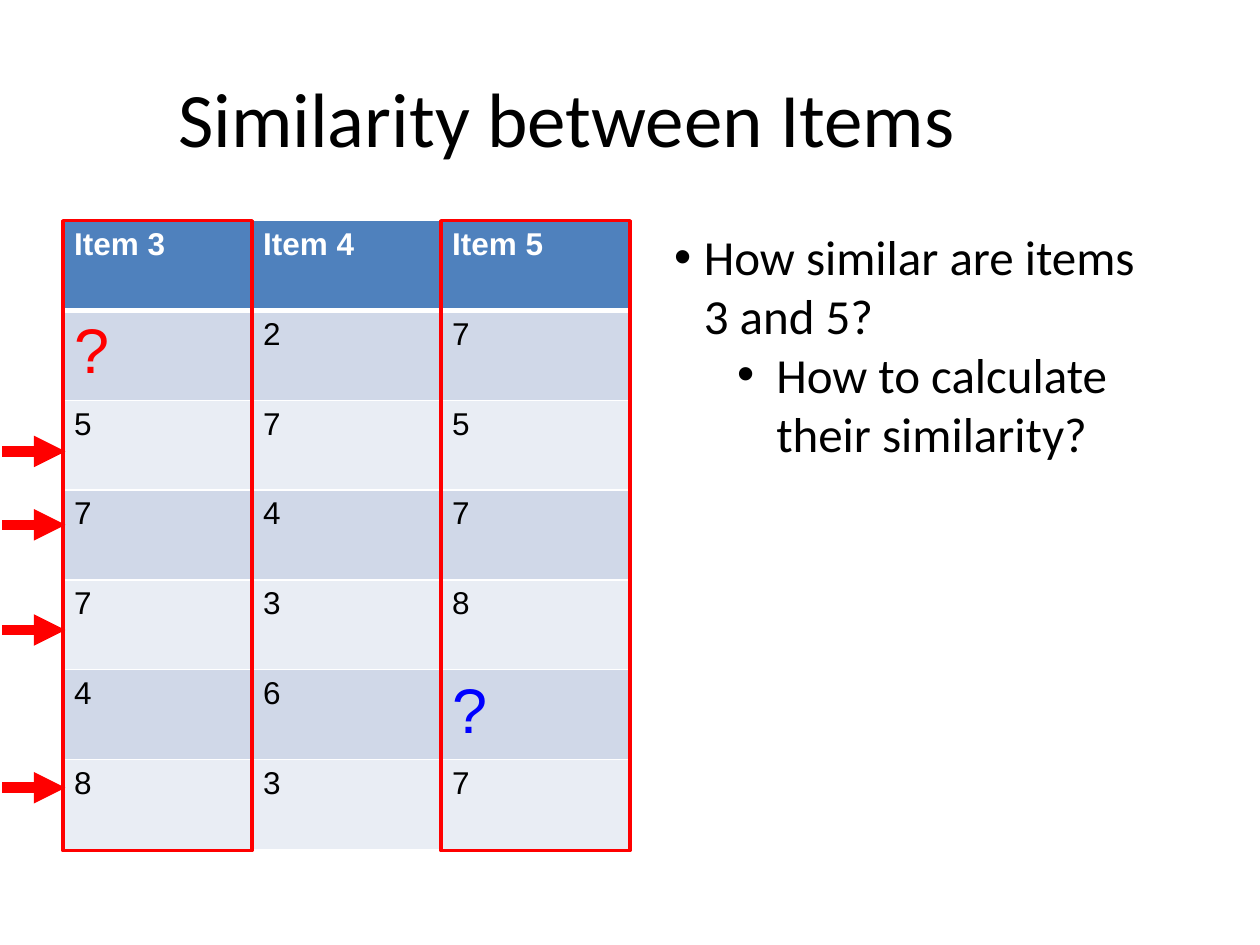
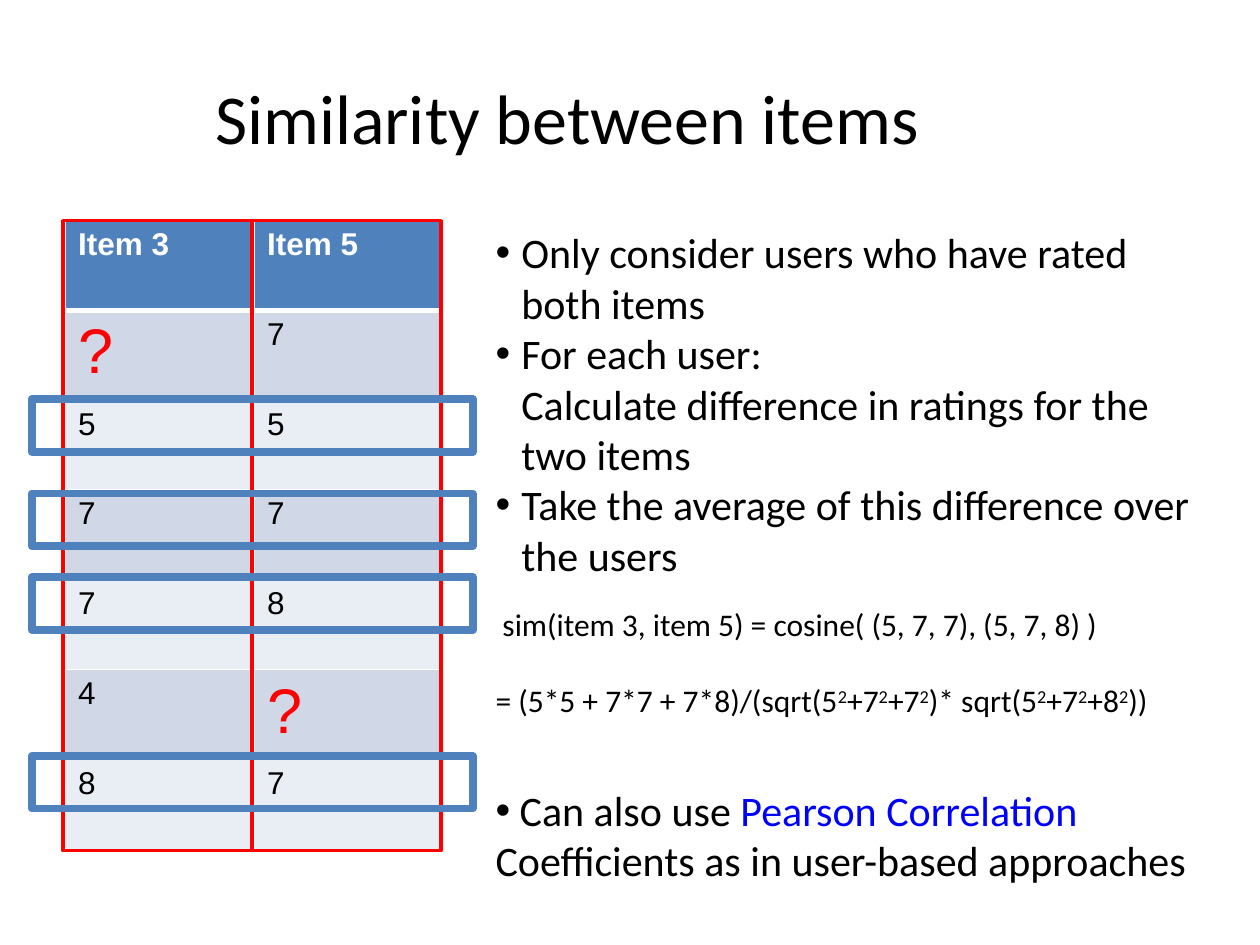
import pptx
import pptx.dml.color
import pptx.enum.shapes
import pptx.enum.text
import pptx.oxml
import pptx.oxml.ns
import pptx.util

Cm = pptx.util.Cm
Pt = pptx.util.Pt
RGBColor = pptx.dml.color.RGBColor

BLACK = RGBColor(0x00, 0x00, 0x00)
WHITE = RGBColor(0xFF, 0xFF, 0xFF)
RED = RGBColor(0xFF, 0x00, 0x00)
BLUE = RGBColor(0x00, 0x00, 0xFF)
STEEL = RGBColor(0x4F, 0x81, 0xBD)
BAND_DARK = RGBColor(0xD0, 0xD8, 0xE8)
BAND_LIGHT = RGBColor(0xE9, 0xED, 0xF4)

TABLE_TOP = 4.45
COLUMN_WIDTH = 3.81
ROW_HEIGHT = 1.81
FRAME_LEFT = 1.27
FRAME_HEIGHT = 12.7

RATINGS = {
    "Item 3": ["?", "5", "7", "7", "4", "8"],
    "Item 4": ["2", "7", "4", "3", "6", "3"],
    "Item 5": ["7", "5", "7", "8", "?", "7"],
}


def add_xml(parent, tag, **attributes):
    element = pptx.oxml.parse_xml(f"<a:{tag} {pptx.oxml.ns.nsdecls('a')}/>")
    for name, value in attributes.items():
        element.set(name, value)
    parent.append(element)
    return element


class Deck:
    def __init__(self):
        self.presentation = pptx.Presentation()
        self.presentation.slide_width = Cm(25.4)
        self.presentation.slide_height = Cm(19.05)
        self.slide = None

    def format_font(self, font, color=BLACK, **values):
        for name, value in {"name": "Calibri", "bold": False, **values}.items():
            setattr(font, name, value)
        font.color.rgb = color

    def add_slide(self, title, size):
        layout = self.presentation.slide_layouts[5]
        self.slide = self.presentation.slides.add_slide(layout)
        shape = self.slide.shapes.title
        box = {"left": Cm(0), "top": Cm(0.76), "width": Cm(22.86), "height": Cm(3.18)}
        for name, value in box.items():
            setattr(shape, name, value)
        shape.text_frame.text = title
        shape.text_frame.vertical_anchor = pptx.enum.text.MSO_ANCHOR.MIDDLE
        paragraph = shape.text_frame.paragraphs[0]
        paragraph.alignment = pptx.enum.text.PP_ALIGN.CENTER
        self.format_font(paragraph.runs[0].font, size=Pt(size))

    def add_ratings(self, left, mark_colors):
        items = list(mark_colors)
        rows = [items, *zip(*(RATINGS[item] for item in items))]
        table = self.slide.shapes.add_table(
            len(rows), len(items), Cm(left), Cm(TABLE_TOP),
            Cm(COLUMN_WIDTH * len(items)), Cm(ROW_HEIGHT * len(rows))).table
        for column in table.columns:
            column.width = Cm(COLUMN_WIDTH)
        for row_index, row in enumerate(rows):
            table.rows[row_index].height = Cm(ROW_HEIGHT)
            for column_index, text in enumerate(row):
                cell = table.cell(row_index, column_index)
                self.fill_cell(cell, row_index, text, mark_colors[items[column_index]])

    def fill_cell(self, cell, row_index, text, mark_color):
        header = row_index == 0
        mark = text == "?"
        cell.text = text
        self.format_font(
            cell.text_frame.paragraphs[0].runs[0].font,
            WHITE if header else mark_color if mark else BLACK,
            name="Arial", size=Pt(36 if mark else 18), bold=header)
        properties = cell._tc.get_or_add_tcPr()
        widths = {"lnL": 1, "lnR": 1, "lnT": 3 if row_index == 1 else 1, "lnB": 3 if header else 1}
        for side, width in widths.items():
            border = add_xml(properties, side, w=str(Pt(width)))
            add_xml(add_xml(border, "solidFill"), "srgbClr", val=str(WHITE))
        cell.fill.solid()
        cell.fill.fore_color.rgb = STEEL if header else BAND_DARK if row_index % 2 else BAND_LIGHT

    def add_frame(self, left, top, width, height, color, weight):
        shape = self.slide.shapes.add_shape(
            pptx.enum.shapes.MSO_SHAPE.RECTANGLE, Cm(left), Cm(top), Cm(width), Cm(height))
        shape.shadow.inherit = False
        shape.fill.background()
        shape.line.color.rgb = color
        shape.line.width = Pt(weight)

    def add_column_frame(self, column_index):
        left = FRAME_LEFT + column_index * COLUMN_WIDTH
        self.add_frame(left, TABLE_TOP, COLUMN_WIDTH, FRAME_HEIGHT, RED, 2)

    def add_arrow(self, top):
        connector = self.slide.shapes.add_connector(
            pptx.enum.shapes.MSO_CONNECTOR.STRAIGHT, Cm(0.05), Cm(top), Cm(1.32), Cm(top))
        connector.line.color.rgb = RED
        connector.line.width = Pt(6)
        add_xml(connector.line._get_or_add_ln(), "tailEnd", type="triangle")
        add_xml(connector._element.spPr, "effectLst")

    def add_text(self, left, top, width, height, size):
        shape = self.slide.shapes.add_textbox(Cm(left), Cm(top), Cm(width), Cm(height))
        frame = shape.text_frame
        frame.word_wrap = True
        frame.auto_size = pptx.enum.text.MSO_AUTO_SIZE.SHAPE_TO_FIT_TEXT

        def add_paragraph(*runs, bullet=True, margin=0.0, hanging=0.0, before=0):
            first = frame.paragraphs[0]
            paragraph = frame.add_paragraph() if first.runs else first
            paragraph.space_before = Pt(before)
            properties = paragraph._p.get_or_add_pPr()
            properties.set("marL", str(Cm(margin)))
            properties.set("indent", str(-Cm(hanging)))
            if bullet:
                add_xml(properties, "buFont", typeface="Arial")
                add_xml(properties, "buChar", char="•")
            for text, color, raised in runs:
                for index, line in enumerate(text.split("\n")):
                    if index:
                        paragraph.add_line_break()
                    run = paragraph.add_run()
                    run.text = line
                    self.format_font(run.font, color, size=Pt(size))
                    if raised:
                        run._r.get_or_add_rPr().set("baseline", "30000")

        return add_paragraph


def plain(text, color=BLACK):
    return text, color, False


def with_powers(text):
    start, *powers = text.split("^")
    runs = [plain(start)]
    for part in powers:
        runs += [(part[0], BLACK, True), plain(part[1:])]
    return runs


def add_question_slide(deck):
    deck.add_slide("Similarity between Items", 44)
    deck.add_ratings(1.24, {"Item 3": RED, "Item 4": BLACK, "Item 5": BLUE})
    deck.add_column_frame(0)
    add_paragraph = deck.add_text(13.34, TABLE_TOP, 9.96, 5, 28)
    add_paragraph(plain("How similar are items\n3 and 5?"), margin=0.6, hanging=0.6)
    add_paragraph(plain("How to calculate\ntheir similarity?"), margin=2.06, hanging=0.79)
    deck.add_column_frame(2)
    for top in (9.1, 10.58, 12.7, 15.88):
        deck.add_arrow(top)


def add_method_slide(deck):
    deck.add_slide("Similarity between items", 40)
    deck.add_ratings(1.32, {"Item 3": RED, "Item 5": RED})
    deck.add_column_frame(0)
    add_paragraph = deck.add_text(9.74, TABLE_TOP, 14.82, 13.44, 24)
    for step in (
        "Only consider users who have rated\nboth items",
        "For each user:\nCalculate difference in ratings for the\ntwo items",
        "Take the average of this difference over\nthe users",
    ):
        add_paragraph(plain(step), margin=0.52, hanging=0.52)
    add_paragraph(
        plain(" Can also use "), plain("Pearson Correlation", BLUE),
        plain(" Coefficients as in user-based approaches"), before=117)
    deck.add_column_frame(1)
    for top in (8.05, 9.95, 11.64, 15.24):
        deck.add_frame(0.64, top, 8.89, 1.06, STEEL, 4.5)
    add_formula = deck.add_text(9.74, 12.07, 15.24, 2.54, 18)
    add_formula(
        plain("sim(item 3, item 5) = cosine( (5, 7, 7), (5, 7, 8) )"), bullet=False, margin=0.14)
    add_formula(
        *with_powers("= (5*5 + 7*7 + 7*8)/(sqrt(5^2+7^2+7^2)* sqrt(5^2+7^2+8^2))"),
        bullet=False, before=22)


def main():
    deck = Deck()
    add_question_slide(deck)
    add_method_slide(deck)
    deck.presentation.save("out.pptx")


if __name__ == "__main__":
    main()
